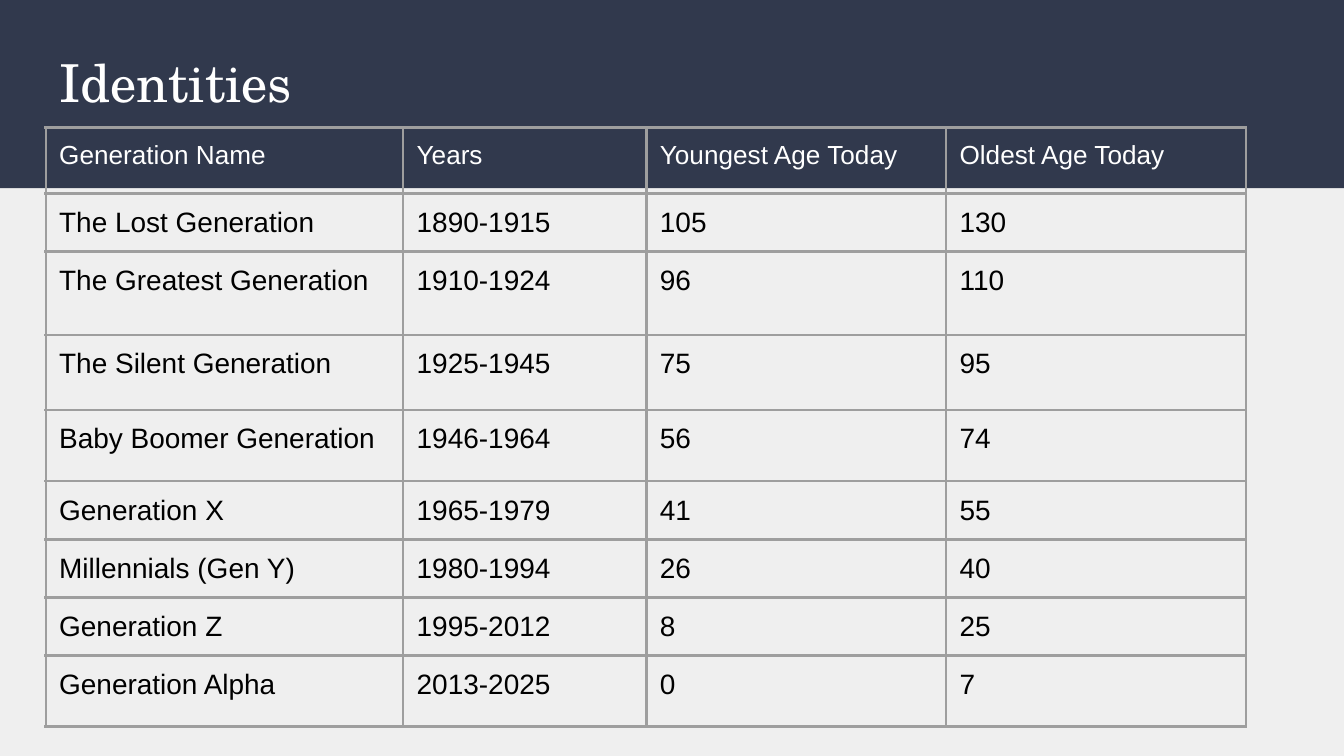
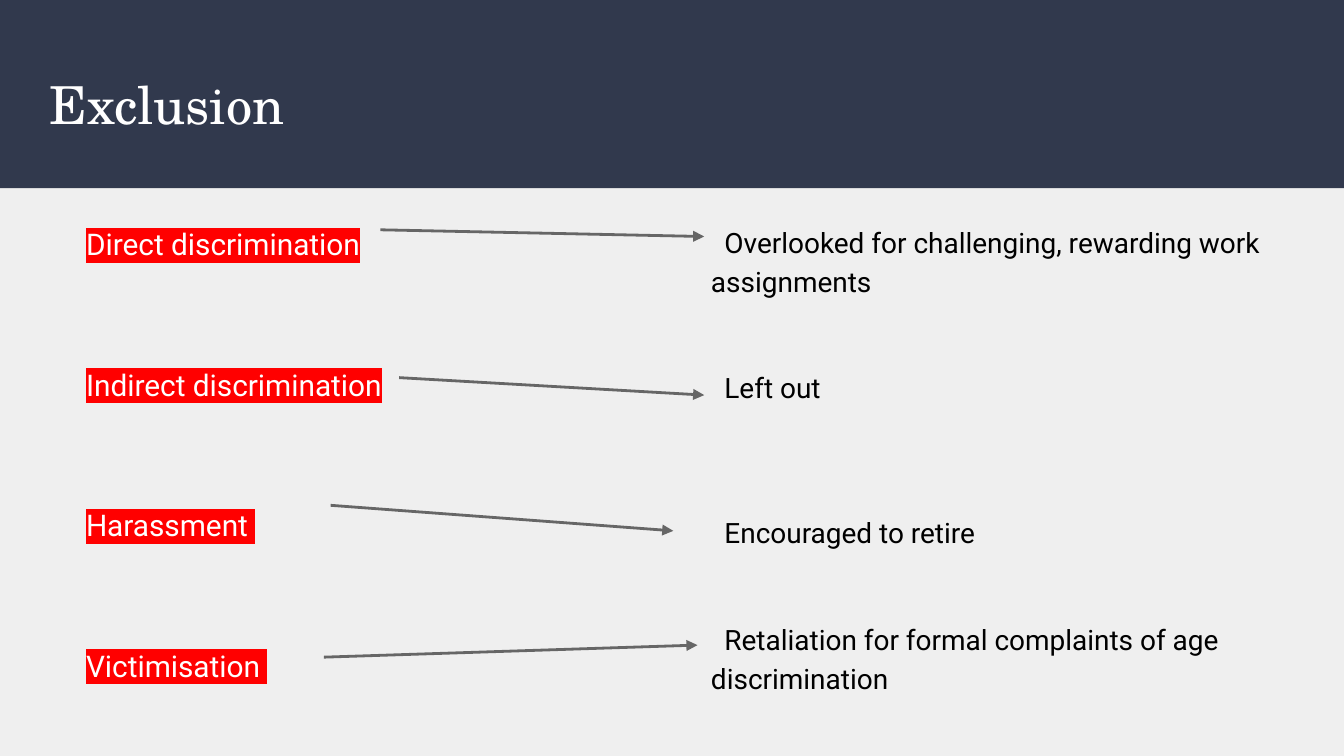
from lxml import etree
from pptx import Presentation
from pptx.dml.color import RGBColor
from pptx.enum.shapes import MSO_CONNECTOR, MSO_SHAPE
from pptx.enum.text import MSO_ANCHOR, MSO_AUTO_SIZE, PP_ALIGN
from pptx.oxml.ns import qn
from pptx.util import Inches, Pt

RECTANGLE = MSO_SHAPE.RECTANGLE
STRAIGHT = MSO_CONNECTOR.STRAIGHT
TOP = MSO_ANCHOR.TOP
NO_AUTOFIT = MSO_AUTO_SIZE.NONE
LEFT = PP_ALIGN.LEFT

WIDTH, HEIGHT = Inches(10), Inches(5.625)
COLUMNS, ROWS = 100, 56.25
BAND_ROWS = 14
TITLE_ONLY, TWO_CONTENT = 5, 3

COLOURS = {
    "band": "31394D",
    "paper": "EFEFEF",
    "light": "FFFFFF",
    "ink": "000000",
    "grid": "9E9E9E",
    "arrow": "666666",
    "highlight": "FF0000",
}
TITLE_FONT, TABLE_FONT, BODY_FONT = "TeX Gyre Schola", "Arial", "Roboto"

GENERATIONS = [
    ("Generation Name", "Years", "Youngest Age Today", "Oldest Age Today"),
    ("The Lost Generation", "1890-1915", "105", "130"),
    ("The Greatest Generation", "1910-1924", "96", "110"),
    ("The Silent Generation", "1925-1945", "75", "95"),
    ("Baby Boomer Generation", "1946-1964", "56", "74"),
    ("Generation X", "1965-1979", "41", "55"),
    ("Millennials (Gen Y)", "1980-1994", "26", "40"),
    ("Generation Z", "1995-2012", "8", "25"),
    ("Generation Alpha", "2013-2025", "0", "7"),
]
GENERATION_COLUMNS = [26.6, 18.1, 22.3, 22.3]
GENERATION_ROWS = [4.9, 4.3, 6.2, 5.6, 5.3, 4.3, 4.3, 4.3, 5.3]

DISCRIMINATION = [
    ("Direct discrimination", 0),
    ("Indirect discrimination", 53.2),
    ("Harassment ", 53.2),
    ("Victimisation ", 53.2),
]
EXAMPLES = [
    ("Overlooked for challenging, rewarding work assignments", 0),
    ("Left out", 36.5),
    ("Encouraged to retire", 57),
    ("Retaliation for formal complaints of age discrimination", 36.5),
]
ARROWS = [
    ((28.3, 3.1), (52.4, 3.6)),
    ((29.7, 14.1), (52.4, 15.4)),
    ((24.6, 23.6), (50.1, 25.5)),
    ((24.1, 34.9), (51.9, 34)),
]


def across(columns):
    return round(WIDTH * columns / COLUMNS)


def down(rows):
    return round(HEIGHT * rows / ROWS)


def grid_box(left, top, width, height):
    return across(left), down(top), across(width), down(height)


def rgb(name):
    return RGBColor.from_string(COLOURS[name])


def add_colour(parent, name):
    fill = etree.SubElement(parent, qn("a:solidFill"))
    etree.SubElement(fill, qn("a:srgbClr"), val=COLOURS[name])


def set_font(paragraph, family, size, colour):
    paragraph.font.name = family
    paragraph.font.size = Pt(size)
    paragraph.font.color.rgb = rgb(colour)


def prepare_placeholder(placeholder, box):
    placeholder.left, placeholder.top, placeholder.width, placeholder.height = grid_box(*box)
    frame = placeholder.text_frame
    frame.margin_left = frame.margin_right = Inches(0.1)
    frame.margin_top = frame.margin_bottom = Inches(0.1)
    frame.word_wrap = True
    frame.auto_size = NO_AUTOFIT
    frame.vertical_anchor = TOP
    return frame


def add_titled_slide(deck, layout, heading, heading_box):
    slide = deck.slides.add_slide(deck.slide_layouts[layout])
    band = slide.shapes.add_shape(RECTANGLE, *grid_box(0, 0, COLUMNS, BAND_ROWS))
    band.shadow.inherit = False
    band.fill.solid()
    band.fill.fore_color.rgb = rgb("band")
    band.line.fill.background()
    band.element.getparent().insert(2, band.element)
    frame = prepare_placeholder(slide.shapes.title, heading_box)
    frame.text = heading
    frame.paragraphs[0].alignment = LEFT
    set_font(frame.paragraphs[0], TITLE_FONT, 28, "light")
    return slide


def border_cell(cell):
    properties = cell._tc.get_or_add_tcPr()
    for side in ("lnL", "lnR", "lnT", "lnB"):
        edge = etree.SubElement(properties, qn(f"a:{side}"), w=str(Pt(1.5)))
        add_colour(edge, "grid")


def add_generation_table(slide, left, top):
    box = grid_box(left, top, sum(GENERATION_COLUMNS), sum(GENERATION_ROWS))
    table = slide.shapes.add_table(len(GENERATIONS), len(GENERATION_COLUMNS), *box).table
    table.first_row = table.horz_banding = False
    for column, width in zip(table.columns, GENERATION_COLUMNS):
        column.width = across(width)
    for index, (row, height, values) in enumerate(zip(table.rows, GENERATION_ROWS, GENERATIONS)):
        row.height = down(height)
        size, colour = (15, "ink") if index else (14, "light")
        for cell, value in zip(row.cells, values):
            border_cell(cell)
            cell.fill.background()
            cell.margin_left = cell.margin_right = Inches(0.1)
            cell.margin_top = cell.margin_bottom = Inches(0.1)
            cell.text = value
            set_font(cell.text_frame.paragraphs[0], TABLE_FONT, size, colour)


def highlight(run):
    mark = etree.SubElement(run._r.get_or_add_rPr(), qn("a:highlight"))
    etree.SubElement(mark, qn("a:srgbClr"), val=COLOURS["highlight"])


def fill_list(placeholder, box, entries, size, colour, indent=0, highlighted=False):
    frame = prepare_placeholder(placeholder, box)
    for index, (text, gap) in enumerate(entries):
        paragraph = frame.add_paragraph() if index else frame.paragraphs[0]
        run = paragraph.add_run()
        run.text = text
        properties = paragraph._p.get_or_add_pPr()
        properties.set("marL", "0")
        properties.set("indent", str(across(indent)))
        etree.SubElement(properties, qn("a:buNone"))
        paragraph.alignment = LEFT
        paragraph.line_spacing = 1.15
        paragraph.space_before = Pt(gap)
        set_font(paragraph, BODY_FONT, size, colour)
        if highlighted:
            highlight(run)


def add_arrow(slide, top, start, end):
    arrow = slide.shapes.add_connector(
        STRAIGHT, across(start[0]), down(top + start[1]), across(end[0]), down(top + end[1])
    )
    arrow.line.color.rgb = rgb("arrow")
    arrow.line.width = Pt(1.5)
    etree.SubElement(arrow.line._get_or_add_ln(), qn("a:tailEnd"), type="triangle")
    etree.SubElement(arrow.element.spPr, qn("a:effectLst"))


def build_identities(deck):
    slide = add_titled_slide(deck, TITLE_ONLY, "Identities", (3.4, 2.7, 93.2, 6.8))
    add_generation_table(slide, 3.4, 9.5)


def build_exclusion(deck):
    slide = add_titled_slide(deck, TWO_CONTENT, "Exclusion", (2.7, 4.4, 93.2, 6.8))
    kinds, examples = slide.placeholders[1], slide.placeholders[2]
    list_top = BAND_ROWS + 1.4
    fill_list(kinds, (5.4, list_top, 24.5, 39.3), DISCRIMINATION, 16, "light", highlighted=True)
    fill_list(examples, (51.9, list_top, 46.5, 40.8), EXAMPLES, 15, "ink", indent=1)
    for start, end in ARROWS:
        add_arrow(slide, BAND_ROWS, start, end)


def main():
    deck = Presentation()
    deck.slide_width, deck.slide_height = WIDTH, HEIGHT
    paper = deck.slide_master.background.fill
    paper.solid()
    paper.fore_color.rgb = rgb("paper")
    build_identities(deck)
    build_exclusion(deck)
    deck.save("out.pptx")


if __name__ == "__main__":
    main()
